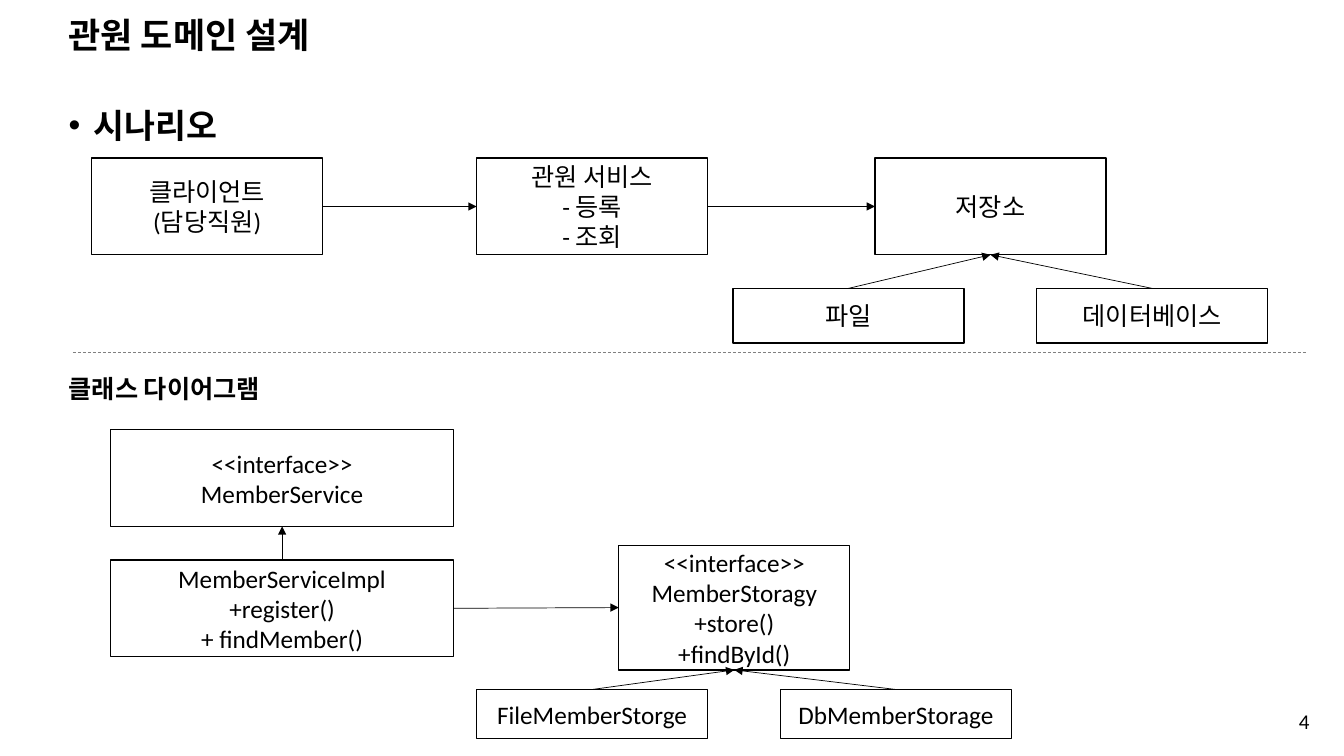
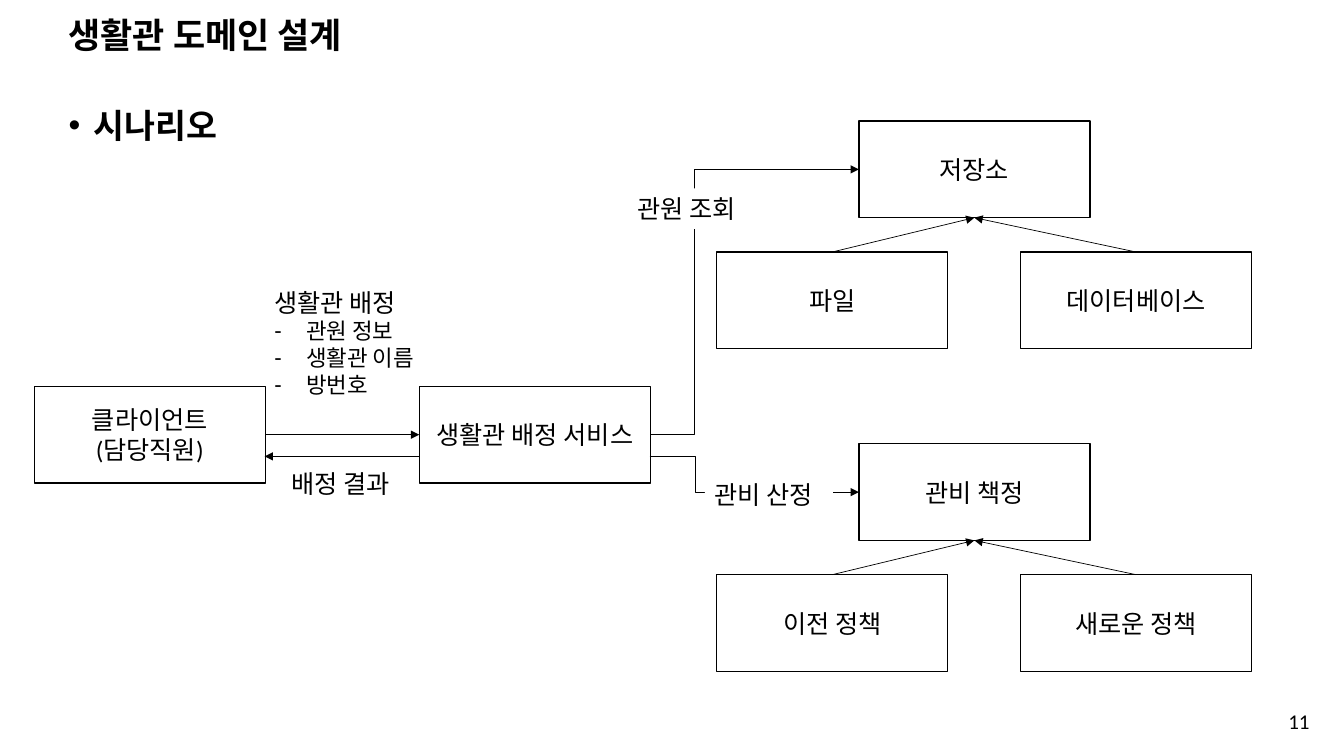
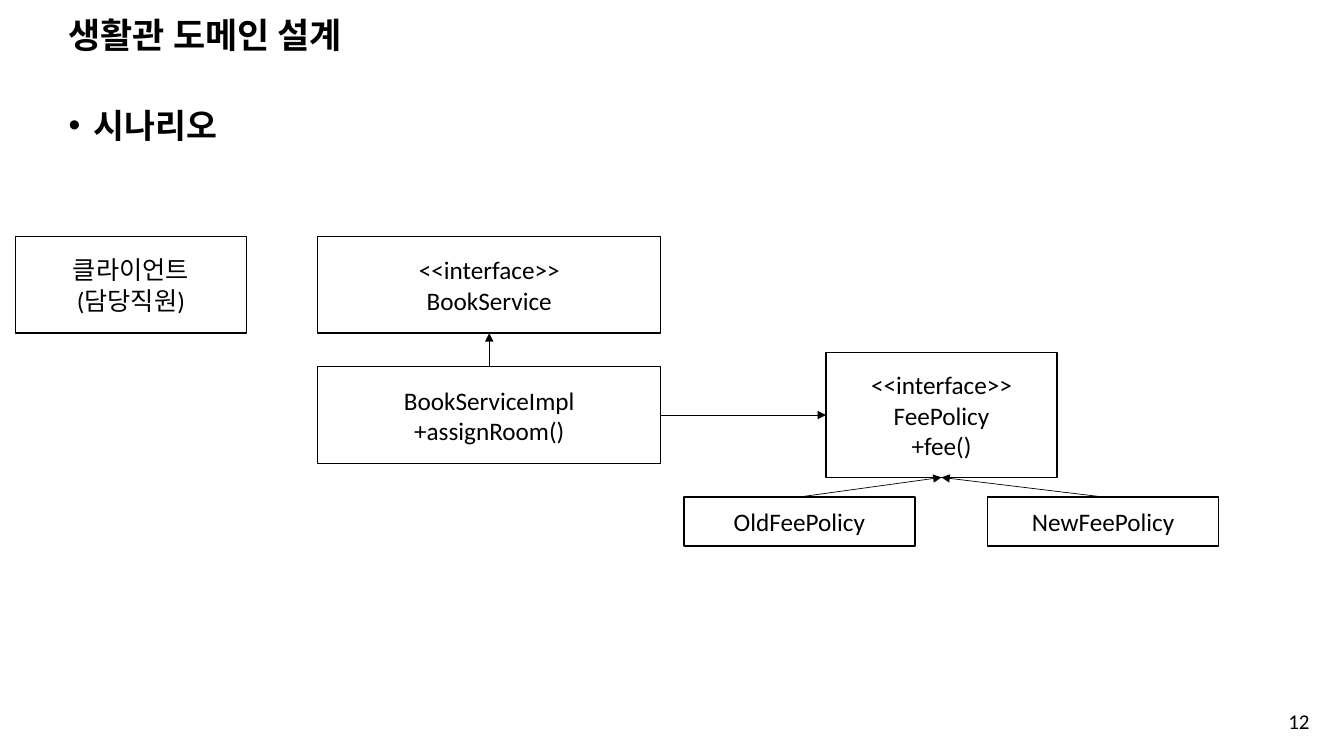
from lxml import etree
from pptx import Presentation
from pptx.dml.color import RGBColor
from pptx.enum.dml import MSO_LINE
from pptx.enum.shapes import MSO_CONNECTOR as LINK, MSO_SHAPE as SHAPE
from pptx.enum.text import MSO_ANCHOR as ANCHOR, PP_ALIGN as ALIGN
from pptx.oxml.ns import qn
from pptx.util import Pt

BLACK = RGBColor(0, 0, 0)
WHITE = RGBColor(255, 255, 255)
GRAY = RGBColor(128, 128, 128)
TOP, LEFT, BOTTOM, RIGHT = range(4)
BOX_W, BOX_H, WIDE = 165, 69, 245


def text(slide, words, x, y, w, h, size=18, font="Calibri", bold=False,
         align=ALIGN.LEFT, anchor=ANCHOR.TOP, space=None, fill=None,
         edge=None, mark=None, indent=0, plain=0, sub=None):
    place = [Pt(n) for n in (x, y, w, h)]
    if edge:
        shape = slide.shapes.add_shape(SHAPE.RECTANGLE, *place)
        shape.shadow.inherit = False
        shape.line.color.rgb = edge
        shape.line.width = Pt(1)
    else:
        shape = slide.shapes.add_textbox(*place)
    if fill:
        shape.fill.solid()
        shape.fill.fore_color.rgb = fill
    frame = shape.text_frame
    frame.word_wrap = True
    frame.vertical_anchor = anchor
    for i, part in enumerate(words.split("\n")):
        para = frame.add_paragraph() if i else frame.paragraphs[0]
        para.alignment = align
        if space:
            para.line_spacing = space
        listed = mark and i >= plain
        if listed:
            props = para._p.get_or_add_pPr()
            props.set("marL", str(Pt(indent)))
            props.set("indent", str(-Pt(indent)))
            etree.SubElement(props, qn("a:buFont")).set("typeface", "Arial")
            etree.SubElement(props, qn("a:buChar")).set("char", mark)
        run = para.add_run()
        run.text = part
        run.font.name = font
        run.font.size = Pt(sub if listed and sub else size)
        run.font.bold = bold
        run.font.color.rgb = BLACK
    return shape


def line(slide, x1=0, y1=0, x2=0, y2=0, start=None, end=None, bend=None,
         color=BLACK, arrow=True):
    kind = LINK.STRAIGHT if bend is None else LINK.ELBOW
    link = slide.shapes.add_connector(kind, Pt(x1), Pt(y1), Pt(x2), Pt(y2))
    if start:
        link.begin_connect(*start)
    if end:
        link.end_connect(*end)
    link.line.color.rgb = color
    link.line.width = Pt(0.5)
    if arrow:
        tail = etree.SubElement(link.line._get_or_add_ln(), qn("a:tailEnd"))
        tail.set("type", "triangle")
    else:
        link.line.dash_style = MSO_LINE.DASH
    props = link._element.spPr
    etree.SubElement(props, qn("a:effectLst"))
    if bend is not None:
        geom = props.find(qn("a:prstGeom"))
        guide = etree.SubElement(geom.get_or_add_avLst(), qn("a:gd"))
        guide.set("name", "adj1")
        guide.set("fmla", f"val {round(bend * 100000)}")


deck = Presentation()
deck.slide_width, deck.slide_height = Pt(960), Pt(540)
box = dict(align=ALIGN.CENTER, anchor=ANCHOR.MIDDLE, fill=WHITE, edge=BLACK)
head = dict(font="Arial", bold=True)

slides = []
for title, page in (("관원 도메인 설계", "4"), ("생활관 도메인 설계", "11"),
                    ("생활관 도메인 설계", "12")):
    slide = deck.slides.add_slide(deck.slide_layouts[6])
    text(slide, title, 42, 13, 828, 27, size=25, anchor=ANCHOR.MIDDLE,
         space=0.9, **head)
    text(slide, "시나리오", 42, 60, 892, 469, size=24, space=1.4, mark="•",
         indent=18, **head)
    text(slide, page, 726.5, 500.5, 216, 29, size=15, align=ALIGN.RIGHT,
         anchor=ANCHOR.MIDDLE)
    slides.append(slide)
member, room, book = slides

roots = []
for slide, name, x, y, h, gap, kid_h, *kids in (
    (member, "저장소", 625, 113, BOX_H, 24, 39, "파일", "데이터베이스"),
    (member, "<<interface>>\nMemberStoragy\n+store()\n+findById()",
     442, 389.5, 89, 14, 35, "FileMemberStorge", "DbMemberStorage"),
    (room, "저장소", 613.5, 86.5, BOX_H, 24.5, BOX_H, "파일", "데이터베이스"),
    (room, "관비 책정", 613.5, 317, BOX_H, 24.5, BOX_H,
     "이전 정책", "새로운 정책"),
    (book, "<<interface>>\nFeePolicy\n+fee()", 590, 252, 89, 14, 35,
     "OldFeePolicy", "NewFeePolicy"),
):
    root = text(slide, name, x, y, BOX_W, h, **box)
    roots.append(root)
    for kid, shift in zip(kids, (-101.5, 115.5)):
        leaf = text(slide, kid, x + shift, y + h + gap, BOX_W, kid_h, **box)
        line(slide, start=(leaf, TOP), end=(root, BOTTOM))
store, depot, find, fee, policy = roots

for slide, x, y, face, impl, root in (
    (member, 79, 307, "MemberService",
     "MemberServiceImpl\n+register()\n+ findMember()", depot),
    (book, 227, 169, "BookService", "BookServiceImpl\n+assignRoom()", policy),
):
    upper = text(slide, "<<interface>>\n" + face, x, y, WIDE, BOX_H, **box)
    lower = text(slide, impl, x, y + 93, WIDE, BOX_H, **box)
    line(slide, start=(lower, TOP), end=(upper, BOTTOM))
    line(slide, start=(lower, RIGHT), end=(root, LEFT))

client = "클라이언트\n(담당직원)"
text(book, client, 11, 169, BOX_W, BOX_H, **box)
for slide, x, y, name, root, bend in (
    (member, 65.5, 113, "관원 서비스\n- 등록\n- 조회", store, None),
    (room, 24.5, 276, "생활관 배정 서비스", find, 0.21),
):
    user = text(slide, client, x, y, BOX_W, BOX_H, **box)
    desk = text(slide, name, x + 275, y, BOX_W, BOX_H, **box)
    line(slide, start=(user, RIGHT), end=(desk, LEFT))
    line(slide, start=(desk, RIGHT), end=(root, LEFT), bend=bend)

line(member, 52, 252, 934, 252, color=GRAY, arrow=False)
text(member, "클래스 다이어그램", 42, 263, 164, 29, bold=True)

line(room, 464, 326, 613.5, 351.5, end=(fee, LEFT), bend=0.22)
line(room, 299.5, 326, 189, 326)
text(room, "생활관 배정\n관원 정보\n생활관 이름\n방번호", 189, 201.5, 122, 90,
     mark="-", indent=22.5, plain=1, sub=16)
for name, x, y in (("관원 조회", 448.5, 134.5), ("관비 산정", 503.5, 338.5),
                   ("배정 결과", 201, 331)):
    text(room, name, x, y, 91.5, 29, fill=WHITE)

deck.save("out.pptx")
